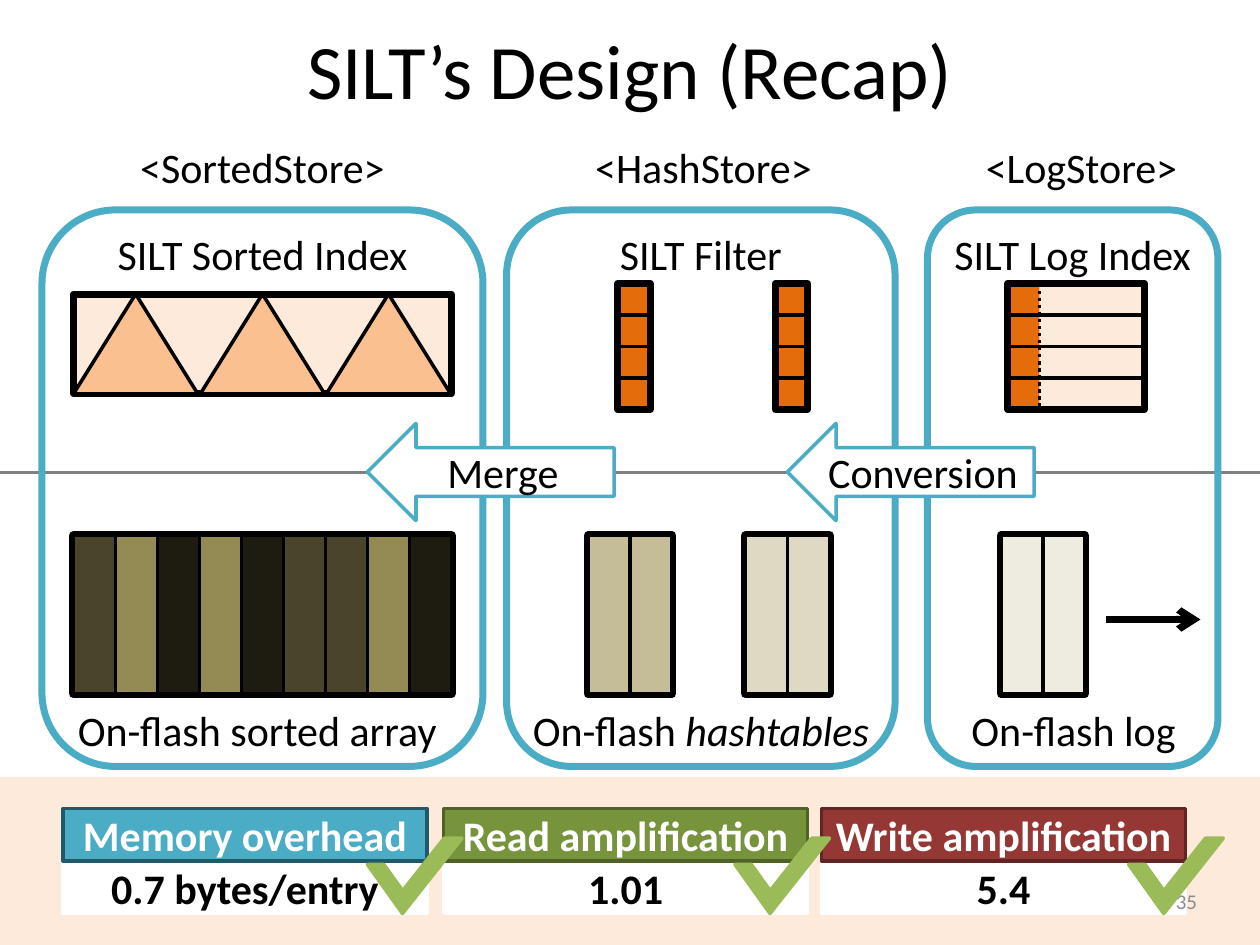
from lxml import etree
from pptx import Presentation
from pptx.dml.color import RGBColor
from pptx.enum import dml, shapes, text
from pptx.oxml import ns
from pptx.util import Pt

BLACK = RGBColor(0x00, 0x00, 0x00)
WHITE = RGBColor(0xFF, 0xFF, 0xFF)
GRAY = RGBColor(0x80, 0x80, 0x80)
NUMBER_GRAY = RGBColor(0x8C, 0x8C, 0x8C)
TEAL = RGBColor(0x4B, 0xAC, 0xC6)
DARK_TEAL = RGBColor(0x21, 0x59, 0x68)
OLIVE = RGBColor(0x77, 0x93, 0x3C)
DARK_OLIVE = RGBColor(0x4F, 0x62, 0x28)
RED = RGBColor(0x95, 0x37, 0x35)
DARK_RED = RGBColor(0x63, 0x25, 0x23)
GREEN = RGBColor(0x9B, 0xBB, 0x59)
PEACH = RGBColor(0xFD, 0xEA, 0xDA)
APRICOT = RGBColor(0xFA, 0xC0, 0x90)
ORANGE = RGBColor(0xE4, 0x6C, 0x0A)
BROWN = RGBColor(0x4A, 0x45, 0x2A)
KHAKI = RGBColor(0x94, 0x8A, 0x54)
DARK_BROWN = RGBColor(0x1E, 0x1C, 0x11)
TAN = RGBColor(0xC4, 0xBD, 0x97)
SAND = RGBColor(0xDD, 0xD9, 0xC3)
IVORY = RGBColor(0xEE, 0xEC, 0xE1)

KIND = shapes.MSO_SHAPE
ALIGN = text.PP_ALIGN


class Canvas:
    """Draws styled elements on one slide; all lengths are in points."""

    font_name = "Calibri"
    text_size = 24

    def __init__(self, slide):
        self.slide = slide

    def set_text(self, shape, runs, size=None, color=BLACK, bold=False,
                 align=ALIGN.CENTER):
        """Runs is a string, or a list of (wording, italic) pairs."""
        frame = shape.text_frame
        frame.word_wrap = True
        frame.vertical_anchor = text.MSO_ANCHOR.MIDDLE
        frame.margin_left = frame.margin_right = Pt(0)
        frame.margin_top = frame.margin_bottom = Pt(0)
        paragraph = frame.paragraphs[0]
        paragraph.alignment = align
        font = paragraph.font
        font.name, font.size, font.bold = self.font_name, Pt(size or self.text_size), bold
        font.color.rgb = color
        if isinstance(runs, str):
            runs = [(runs, False)]
        for wording, italic in runs:
            run = paragraph.add_run()
            run.text = wording
            if italic:
                run.font.italic = True

    def label(self, runs, left, top, width, height, **style):
        box = self.slide.shapes.add_textbox(Pt(left), Pt(top), Pt(width), Pt(height))
        self.set_text(box, runs, **style)

    def shape(self, kind, left, top, width, height, fill=None, line=None, weight=2):
        shape = self.slide.shapes.add_shape(
            kind, Pt(left), Pt(top), Pt(width), Pt(height))
        shape.shadow.inherit = False
        if fill is None:
            shape.fill.background()
        else:
            shape.fill.solid()
            shape.fill.fore_color.rgb = fill
        if line is None:
            shape.line.fill.background()
        else:
            shape.line.color.rgb = line
            shape.line.width = Pt(weight)
        return shape

    def line(self, x1, y1, x2, y2, color=BLACK, weight=2, dash=None, arrow=False):
        connector = self.slide.shapes.add_connector(
            shapes.MSO_CONNECTOR.STRAIGHT, Pt(x1), Pt(y1), Pt(x2), Pt(y2))
        connector.line.color.rgb = color
        connector.line.width = Pt(weight)
        if dash:
            connector.line.dash_style = dash
        properties = connector._element.spPr
        if arrow:
            etree.SubElement(properties.find(ns.qn("a:ln")),
                             ns.qn("a:tailEnd"), type="arrow")
        etree.SubElement(properties, ns.qn("a:effectLst"))

    def flash_blocks(self, left, colors, top=306, width=24, height=90.5):
        self.shape(KIND.RECTANGLE, left, top, width * len(colors), height,
                   line=BLACK, weight=5)
        for index, color in enumerate(colors):
            self.shape(KIND.RECTANGLE, left + index * width, top, width, height,
                       color, BLACK)

    def row_lines(self, left, width, top=162, step=18):
        for row in (1, 2, 3):
            y = top + row * step
            self.line(left, y, left + width, y)

    def check_mark(self, left, top):
        long_stroke = self.shape(KIND.DIAGONAL_STRIPE, left + 20, top, 34, 43,
                                 GREEN, GREEN)
        long_stroke.adjustments[0] = 0.7
        short_stroke = self.shape(KIND.DIAGONAL_STRIPE, left, top + 15, 20, 28,
                                  GREEN, GREEN)
        short_stroke.adjustments[0] = 0.53
        short_stroke._element.spPr.xfrm.set("flipH", "1")


presentation = Presentation()
presentation.slide_width, presentation.slide_height = Pt(720), Pt(540)
canvas = Canvas(presentation.slides.add_slide(presentation.slide_layouts[6]))

# Memory / flash divider and result band
canvas.line(0, 270, 720, 270, GRAY, 1.5)
canvas.shape(KIND.RECTANGLE, 0, 444, 720, 96, PEACH)

# Results
results = [
    (36, "Memory overhead", "0.7 bytes/entry", TEAL, DARK_TEAL),
    (253.5, "Read amplification", "1.01", OLIVE, DARK_OLIVE),
    (469.5, "Write amplification", "5.4", RED, DARK_RED),
]
for left, name, value, fill, border in results:
    value_box = canvas.shape(KIND.RECTANGLE, left, 492, 208, 30, WHITE, WHITE)
    canvas.set_text(value_box, value, bold=True)
    name_box = canvas.shape(KIND.RECTANGLE, left, 462, 208, 30, fill, border)
    canvas.set_text(name_box, name, color=WHITE, bold=True)
canvas.label("35", 516, 500.5, 168, 29, size=12, color=NUMBER_GRAY, align=ALIGN.RIGHT)
for left in (210, 420, 645):
    canvas.check_mark(left, 479)

# Title
canvas.label("SILT’s Design (Recap)", 24, 12, 672, 54, size=44)

# Store panels: left, width, heading centre, heading, index, storage centre, storage
hashtables = [("On-flash ", False), ("hashtables", True)]
stores = [
    (24, 252, 150, "<SortedStore>", "SILT Sorted Index", 147, "On-flash sorted array"),
    (289.5, 222, 402, "<HashStore>", "SILT Filter", 400.5, hashtables),
    (530, 166, 618, "<LogStore>", "SILT Log Index", 613.5, "On-flash log"),
]
for left, width, heading_x, heading, index_name, storage_x, storage in stores:
    canvas.shape(KIND.ROUNDED_RECTANGLE, left, 120, width, 318, line=TEAL, weight=4)
    canvas.label(heading, heading_x - 96, 78, 192, 34)
    canvas.label(index_name, left, 128, width, 34)
    canvas.label(storage, storage_x - 111, 402, 222, 30)

# Sorted index
canvas.shape(KIND.RECTANGLE, 42, 168, 216, 57, PEACH, BLACK, 4)
for left in (42, 114.5, 186.5):
    canvas.shape(KIND.ISOSCELES_TRIANGLE, left, 168, 71, 57, APRICOT, BLACK)

# Hash filters
for left in (353, 443):
    canvas.shape(KIND.RECTANGLE, left, 162, 18.5, 72, ORANGE, BLACK, 4)
    canvas.row_lines(left, 18.5)

# Log index
canvas.shape(KIND.RECTANGLE, 576, 162, 78, 72, PEACH)
canvas.shape(KIND.RECTANGLE, 576, 162, 18, 72, ORANGE)
canvas.row_lines(576, 78)
canvas.line(594, 162, 594, 234, dash=dml.MSO_LINE.ROUND_DOT)
canvas.shape(KIND.RECTANGLE, 576, 162, 78, 72, line=BLACK, weight=4)

# On-flash data
canvas.flash_blocks(42, [BROWN, KHAKI, DARK_BROWN, KHAKI, DARK_BROWN,
                         BROWN, BROWN, KHAKI, DARK_BROWN])
for left, color in ((336, TAN), (426, SAND), (572, IVORY)):
    canvas.flash_blocks(left, [color] * 2)
canvas.line(632, 354, 686, 354, weight=4, arrow=True)

# Transitions between stores
for left, action in ((210, "Merge"), (450, "Conversion")):
    arrow = canvas.shape(KIND.LEFT_ARROW, left, 242, 141, 55.5, WHITE, TEAL)
    canvas.set_text(arrow, action)

presentation.save("out.pptx")
